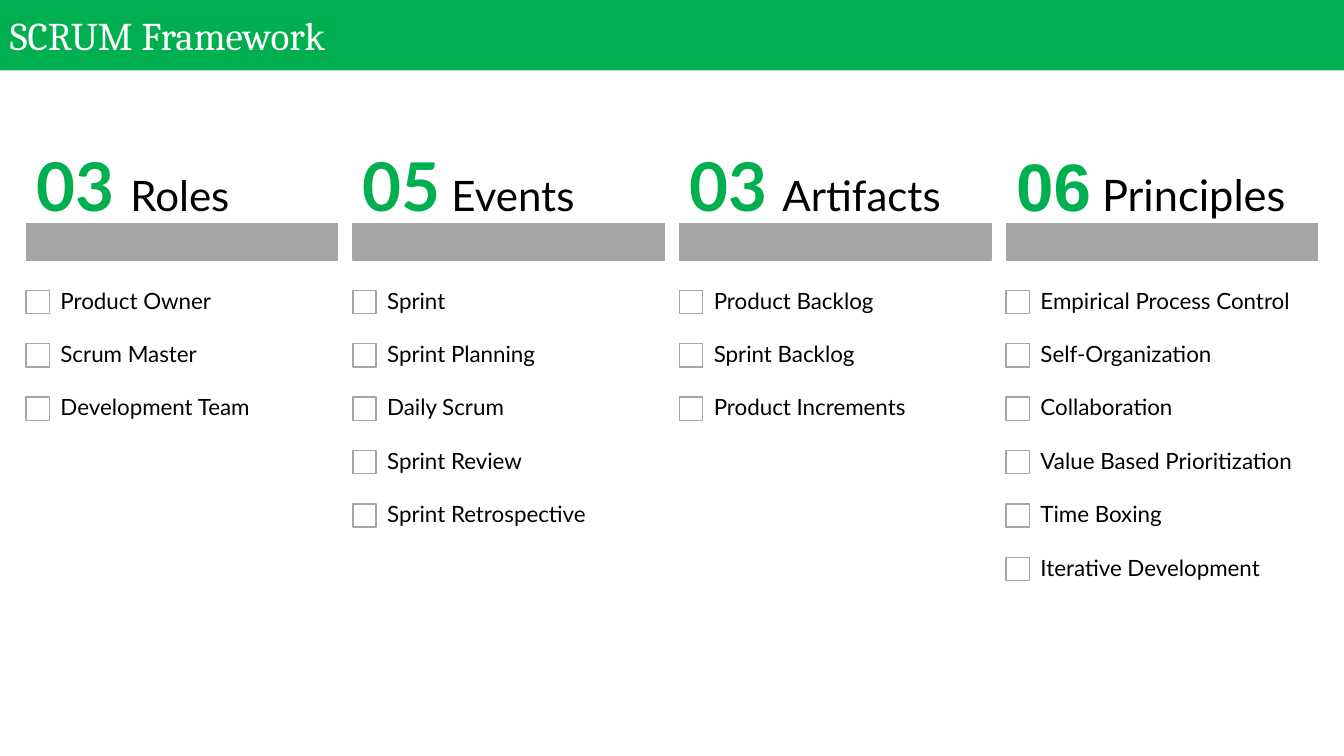
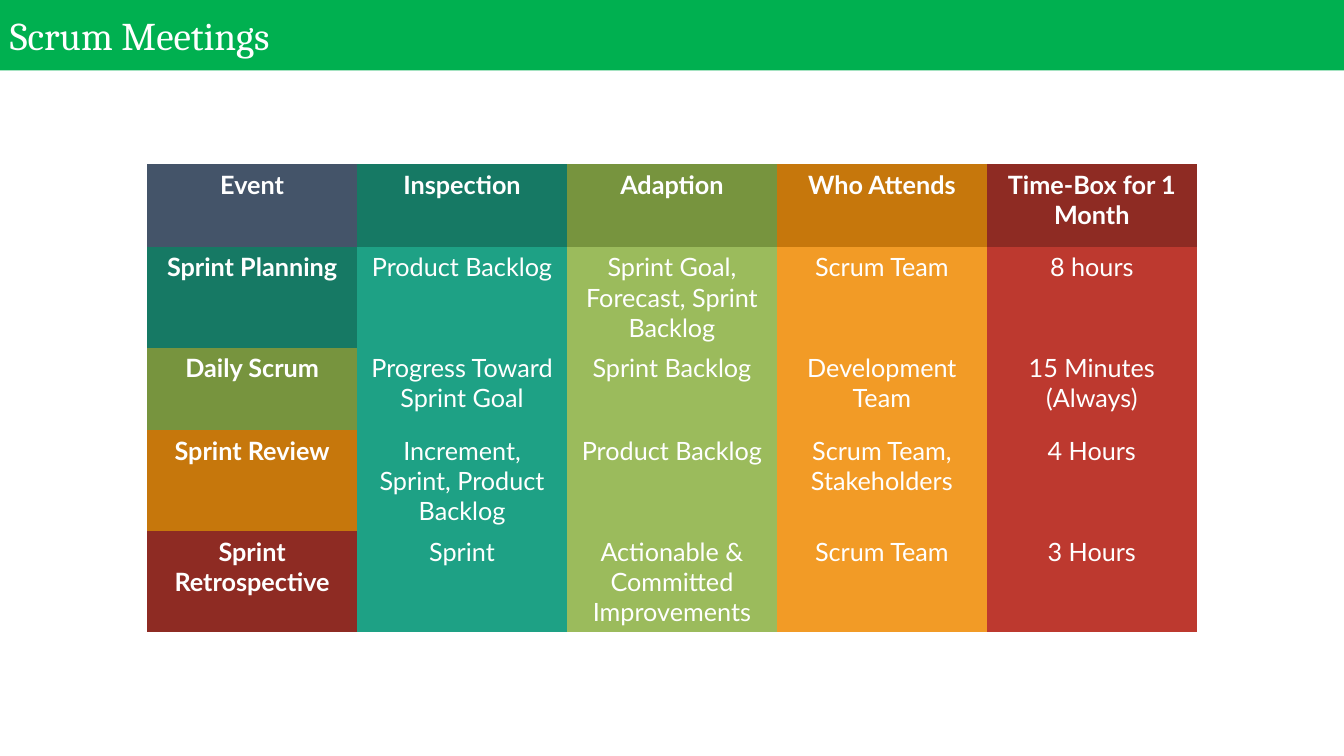
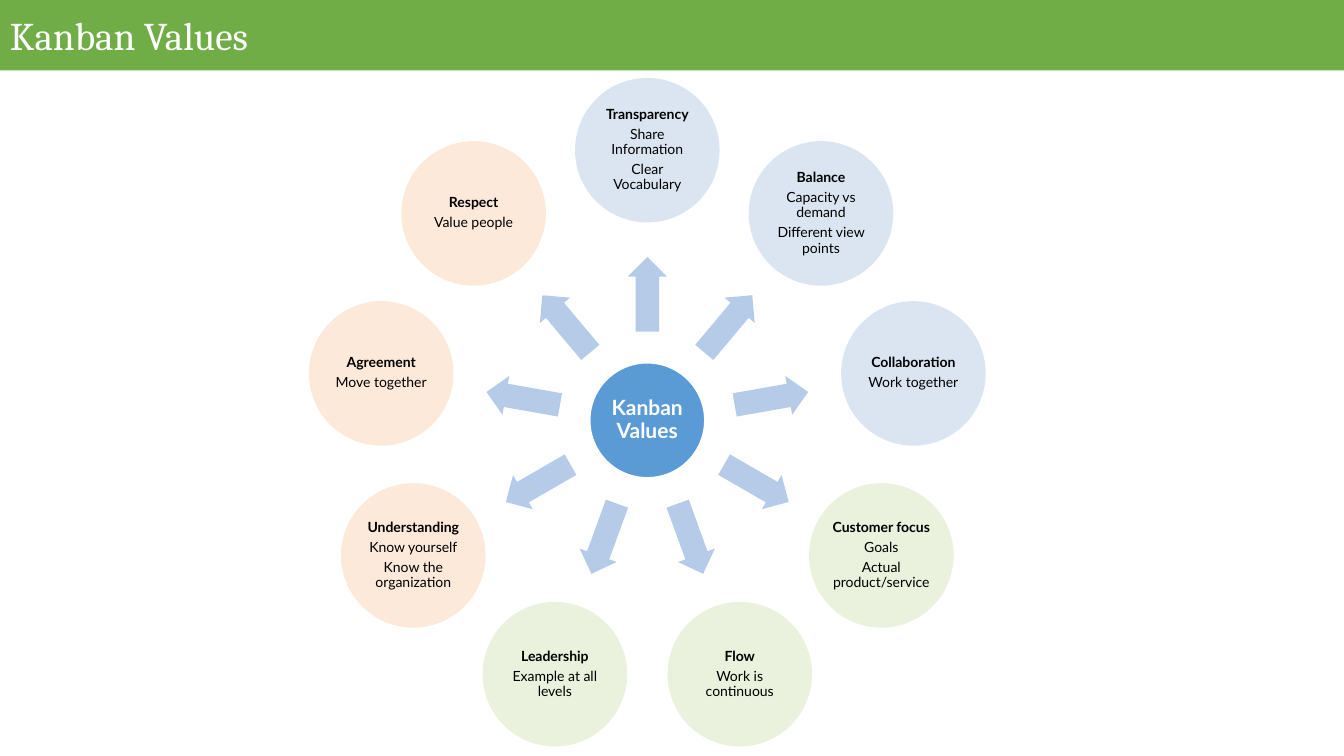
import math
from dataclasses import dataclass

import pptx
import pptx.dml.color
import pptx.enum.shapes
import pptx.enum.text
import pptx.util

SHAPES = pptx.enum.shapes.MSO_SHAPE
ALIGN = pptx.enum.text.PP_ALIGN
MIDDLE = pptx.enum.text.MSO_ANCHOR.MIDDLE

SLIDE_WIDTH, SLIDE_HEIGHT = 13.33, 7.5
BAND_HEIGHT = 0.7
GREEN, LEAF, GREY = "00B050", "70AD47", "A5A5A5"
WHITE, BLACK = "FFFFFF", "000000"
BODY_FONT, TITLE_FONT = "Lato", "Cambria"
NO_GRID_STYLE = "{2D5ABB26-0587-4C30-8999-92F81FD0307C}"


@dataclass(frozen=True)
class Span:
    text: str
    size: float
    color: str = BLACK
    bold: bool = False
    font: str = BODY_FONT


@dataclass(frozen=True)
class Area:
    left: float
    top: float
    width: float
    height: float

    def lengths(self) -> list[int]:
        sides = (self.left, self.top, self.width, self.height)
        return [pptx.util.Inches(side) for side in sides]


@dataclass(frozen=True)
class Topic:
    heading: list[Span]
    items: list[str]


@dataclass(frozen=True)
class Value:
    name: str
    points: list[str]
    color: str


def rgb(color: str) -> pptx.dml.color.RGBColor:
    return pptx.dml.color.RGBColor.from_string(color)


def centered(x: float, y: float, width: float, height: float) -> Area:
    return Area(x - width / 2, y - height / 2, width, height)


def write_frame(frame, paras: list[list[Span]], align=ALIGN.LEFT, line_spacing=None) -> None:
    for index, spans in enumerate(paras):
        para = frame.paragraphs[0] if index == 0 else frame.add_paragraph()
        para.alignment = align
        if line_spacing:
            para.line_spacing = line_spacing
            para.space_after = pptx.util.Pt(0.35 * spans[0].size)
        for span in spans:
            run = para.add_run()
            run.text = span.text
            run.font.name = span.font
            run.font.size = pptx.util.Pt(span.size)
            run.font.bold = span.bold
            run.font.color.rgb = rgb(span.color)


def set_frame(frame, inset_x: float, inset_y: float) -> None:
    frame.word_wrap = True
    frame.vertical_anchor = MIDDLE
    frame.margin_left = frame.margin_right = pptx.util.Inches(inset_x)
    frame.margin_top = frame.margin_bottom = pptx.util.Inches(inset_y)


def add_figure(page, kind, area: Area, fill: str, line: str | None = None):
    figure = page.shapes.add_shape(kind, *area.lengths())
    figure.shadow.inherit = False
    figure.fill.solid()
    figure.fill.fore_color.rgb = rgb(fill)
    if line:
        figure.line.color.rgb = rgb(line)
        figure.line.width = pptx.util.Pt(1)
    else:
        figure.line.fill.background()
    return figure


def add_label(page, area: Area, spans: list[Span], inset_x: float, inset_y: float) -> None:
    frame = page.shapes.add_textbox(*area.lengths()).text_frame
    set_frame(frame, inset_x, inset_y)
    write_frame(frame, [spans], line_spacing=0.9)


def add_disc(page, area: Area, fill: str, line: str, paras: list[list[Span]], inset: float) -> None:
    frame = add_figure(page, SHAPES.OVAL, area, fill, line).text_frame
    set_frame(frame, inset, inset)
    write_frame(frame, paras, ALIGN.CENTER, 0.9)


def add_page(deck, title: str, band_color: str):
    page = deck.slides.add_slide(deck.slide_layouts[6])
    band = add_figure(page, SHAPES.RECTANGLE, Area(0, 0, SLIDE_WIDTH, BAND_HEIGHT), band_color)
    set_frame(band.text_frame, 0.1, 0.05)
    write_frame(band.text_frame, [[Span(title, 28, WHITE, font=TITLE_FONT)]])
    return page


def heading(number: str, *rest: Span, font: str = BODY_FONT) -> list[Span]:
    return [Span(number, 48, GREEN, True, font), *rest]


TOPICS = [
    Topic(heading("03 ", Span("Roles", 30)),
          ["Product Owner", "Scrum Master", "Development Team"]),
    Topic(heading("05", Span(" Events", 30)),
          ["Sprint", "Sprint Planning", "Daily Scrum", "Sprint Review", "Sprint Retrospective"]),
    Topic(heading("03", Span(" ", 44, bold=True), Span("Artifacts", 30)),
          ["Product Backlog", "Sprint Backlog", "Product Increments"]),
    Topic(heading("06", Span(" Principles", 31), font="Arial"),
          ["Empirical Process Control", "Self-Organization", "Collaboration",
           "Value Based Prioritization", "Time Boxing", "Iterative Development"]),
]

MEETINGS = [
    ["Event", "Inspection", "Adaption", "Who Attends", "Time-Box for 1 Month"],
    ["Sprint Planning", "Product Backlog", "Sprint Goal, Forecast, Sprint Backlog",
     "Scrum Team", "8 hours"],
    ["Daily Scrum", "Progress Toward Sprint Goal", "Sprint Backlog",
     "Development Team", "15 Minutes\n(Always)"],
    ["Sprint Review", "Increment, Sprint, Product Backlog", "Product Backlog",
     "Scrum Team, Stakeholders", "4 Hours"],
    ["Sprint Retrospective", "Sprint", "Actionable & Committed Improvements",
     "Scrum Team", "3 Hours"],
]
HEADER_COLORS = ["445469", "167964", "77943E", "C6770C", "8E2B23"]
COLUMN_COLORS = ["445469", "1EA185", "9BBB5C", "F29B26", "BD392F"]

PALE_BLUE, PALE_GREEN, PALE_ORANGE = "DBE5F1", "EAF1DD", "FDE9D9"
VALUES = [
    Value("Transparency", ["Share Information", "Clear Vocabulary"], PALE_BLUE),
    Value("Balance", ["Capacity vs demand", "Different view points"], PALE_BLUE),
    Value("Collaboration", ["Work together"], PALE_BLUE),
    Value("Customer focus", ["Goals", "Actual product/service"], PALE_GREEN),
    Value("Flow", ["Work is continuous"], PALE_GREEN),
    Value("Leadership", ["Example at all levels"], PALE_GREEN),
    Value("Understanding", ["Know yourself", "Know the organization"], PALE_ORANGE),
    Value("Agreement", ["Move together"], PALE_ORANGE),
    Value("Respect", ["Value people"], PALE_ORANGE),
]


def build_framework(deck) -> None:
    page = add_page(deck, "SCRUM Framework", GREEN)
    margin, gap = 0.26, 0.15
    count = len(TOPICS)
    width = (SLIDE_WIDTH - 2 * margin - (count - 1) * gap) / count
    row_height, check_size, indent = 0.53, 0.23, 0.22
    for column, topic in enumerate(TOPICS):
        left = margin + column * (width + gap)
        add_figure(page, SHAPES.RECTANGLE, Area(left, 2.22, width, 0.36), GREY, GREY)
        add_label(page, Area(left, 1.56, width, 0.65), topic.heading, 0.1, 0.07)
        for row, item in enumerate(topic.items):
            top = 2.73 + row * row_height
            check_top = top + (row_height - check_size) / 2
            add_figure(page, SHAPES.RECTANGLE,
                       Area(left, check_top, check_size, check_size), WHITE, GREY)
            add_label(page, Area(left + indent, top, width - indent, row_height),
                      [Span(item, 16)], 0.12, 0.12)


def build_meetings(deck) -> None:
    page = add_page(deck, "Scrum Meetings", GREEN)
    row_height, width = 0.82, 10.41
    area = Area((SLIDE_WIDTH - width) / 2, 1.63, width, row_height * len(MEETINGS))
    table = page.shapes.add_table(len(MEETINGS), len(MEETINGS[0]), *area.lengths()).table
    table.first_row = table.horz_banding = False
    table._tbl.tblPr[0].text = NO_GRID_STYLE
    for row, texts in enumerate(MEETINGS):
        for column, text in enumerate(texts):
            is_header = row == 0 or column == 0
            color = HEADER_COLORS[max(row, column)] if is_header else COLUMN_COLORS[column]
            cell = table.cell(row, column)
            cell.fill.solid()
            cell.fill.fore_color.rgb = rgb(color)
            paras = [[Span(line, 18, WHITE, is_header)] for line in text.split("\n")]
            write_frame(cell.text_frame, paras, ALIGN.CENTER)


def build_values(deck) -> None:
    page = add_page(deck, "Kanban Values", LEAF)
    hub_x, hub_y, hub_size = 6.42, 4.17, 1.14
    arrow_radius, disc_radius, disc_size = 1.25, 2.68, 1.42
    add_disc(page, centered(hub_x, hub_y, hub_size, hub_size), "5B9BD5", WHITE,
             [[Span("Kanban Values", 15, WHITE, True)]], 0.02)
    for index, value in enumerate(VALUES):
        degrees = index * 360 / len(VALUES) - 90
        across, down = math.cos(math.radians(degrees)), math.sin(math.radians(degrees))
        arrow_area = centered(hub_x + arrow_radius * across, hub_y + arrow_radius * down, 0.74, 0.39)
        arrow = add_figure(page, SHAPES.RIGHT_ARROW, arrow_area, "B5CBE7")
        arrow.adjustments[0], arrow.adjustments[1] = 0.6, 0.5
        arrow.rotation = degrees % 360
        disc_area = centered(hub_x + disc_radius * across, hub_y + disc_radius * down,
                             disc_size, disc_size)
        paras = [[Span(value.name, 10, bold=True)], *[[Span(point, 10)] for point in value.points]]
        add_disc(page, disc_area, value.color, value.color, paras, 0.01)


def main() -> None:
    deck = pptx.Presentation()
    deck.slide_width = pptx.util.Inches(SLIDE_WIDTH)
    deck.slide_height = pptx.util.Inches(SLIDE_HEIGHT)
    build_framework(deck)
    build_meetings(deck)
    build_values(deck)
    deck.save("out.pptx")


if __name__ == "__main__":
    main()
